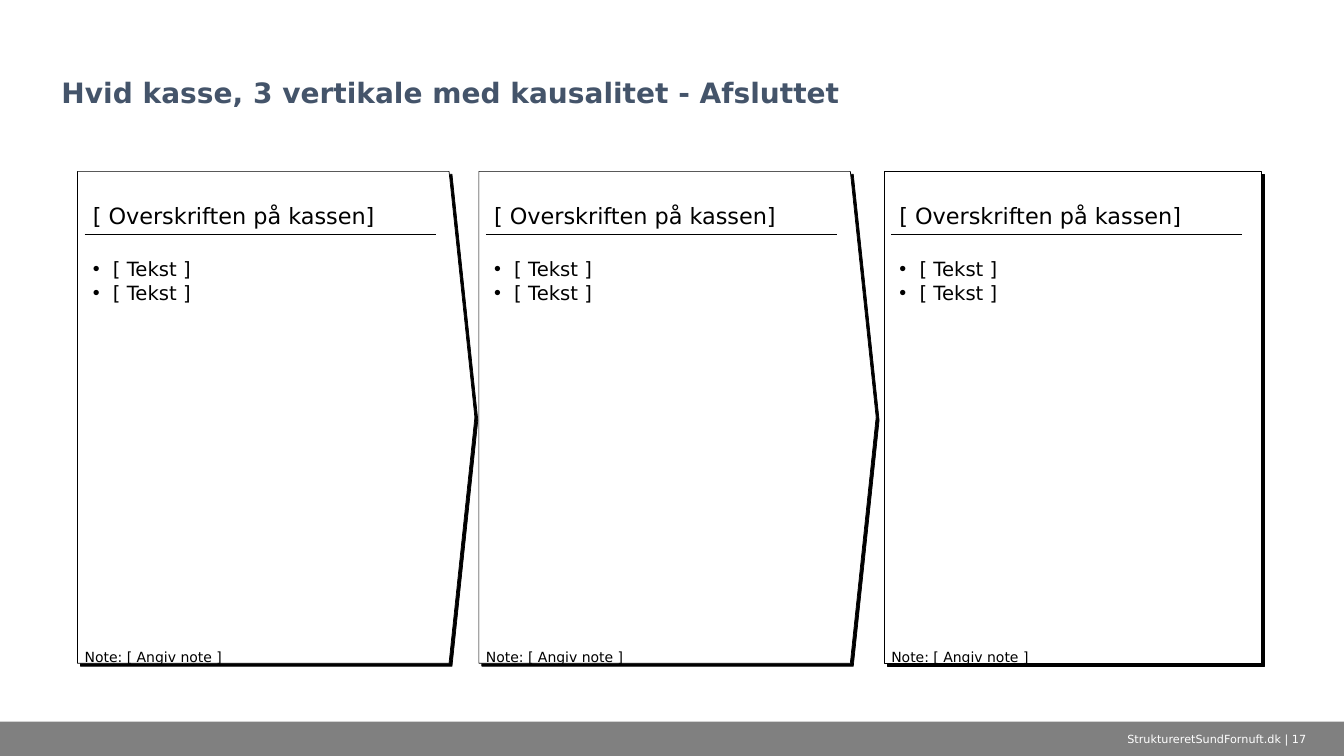
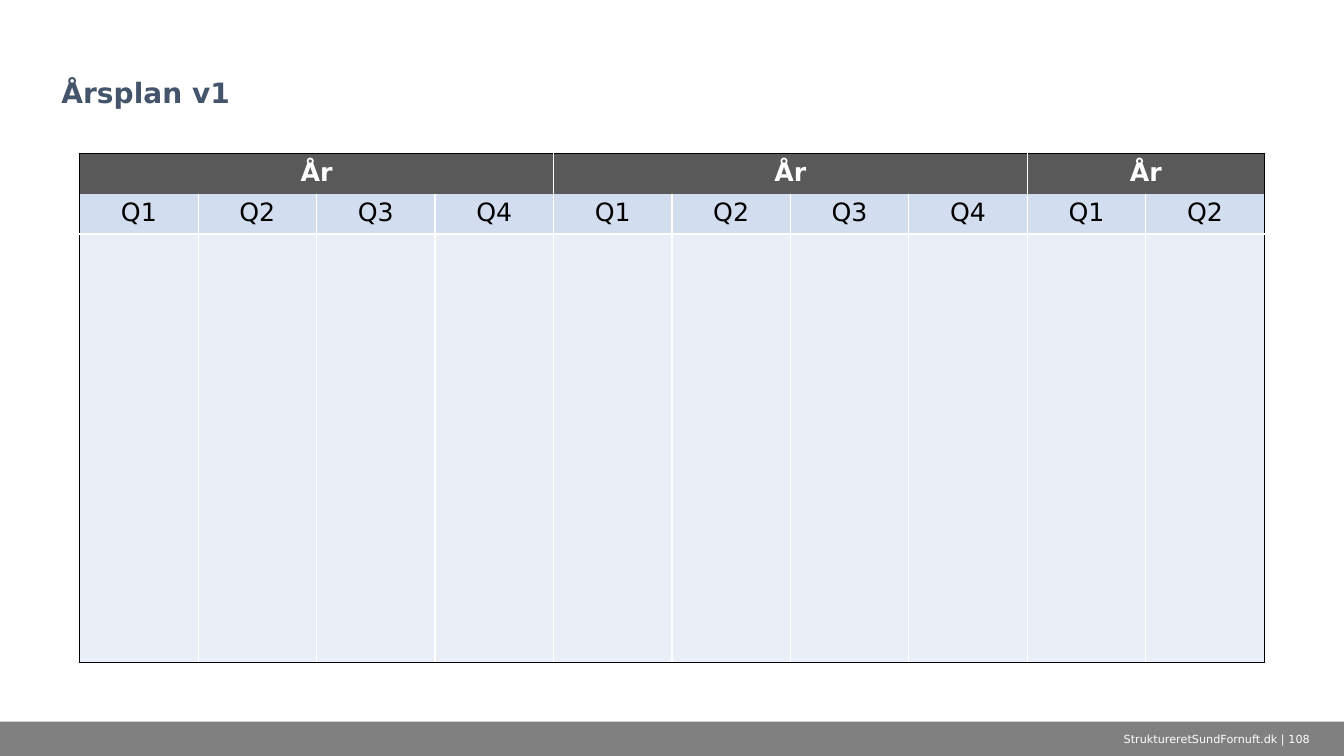
from dataclasses import dataclass

from lxml import etree
from pptx import Presentation, util as u
from pptx.dml.color import RGBColor
from pptx.enum import shapes, text
from pptx.oxml import ns

FONT = "DejaVu Sans"
COLORS = {
    "black": "000000",
    "white": "FFFFFF",
    "title": "44546A",
    "band": "808080",
    "year": "595959",
    "quarter": "D2DEEF",
    "plan": "EAEFF7",
}
SIDES = {"left": "a:lnL", "right": "a:lnR", "top": "a:lnT", "bottom": "a:lnB"}


@dataclass
class Panel:
    left: float
    width: float = 3.94
    point: float = 0.065


@dataclass
class TextStyle:
    size: float
    color: str = "black"
    bold: bool = False
    align: text.PP_ALIGN = text.PP_ALIGN.LEFT


@dataclass
class PlanCell:
    row: int
    first: int
    last: int
    label: str
    fill: str


TITLE = TextStyle(20, "title", True)
FOOTER = TextStyle(8, "white", align=text.PP_ALIGN.CENTER)
HEADING = TextStyle(16)
BULLET = TextStyle(14)
NOTE = TextStyle(10)
YEAR = TextStyle(18, "white", True, text.PP_ALIGN.CENTER)
QUARTER = TextStyle(18, align=text.PP_ALIGN.CENTER)

PANELS = [Panel(0.77), Panel(4.75), Panel(8.77, 3.74, 0)]
PANEL_TOP, PANEL_HEIGHT = 1.7, 4.88
TEXT_INSET, TEXT_WIDTH, RULE_TOP = 0.07, 3.48, 2.33
YEAR_SPANS = [(0, 3), (4, 7), (8, 9)]
ROW_HEIGHTS = [0.39, 0.39, 4.25]
COLUMNS, COLUMN_WIDTH = 10, 1.175


def rgb(name: str) -> RGBColor:
    return RGBColor.from_string(COLORS[name])


def sub(parent, tag: str, **attributes):
    return etree.SubElement(parent, ns.qn(tag), attributes)


def write(para, words: str, style: TextStyle) -> None:
    para.alignment = style.align
    span = para.add_run()
    span.text = words
    span.font.name = FONT
    span.font.size = u.Pt(style.size)
    span.font.bold = style.bold
    span.font.color.rgb = rgb(style.color)


def add_bullet(para) -> None:
    properties = para._p.get_or_add_pPr()
    properties.set("marL", str(u.Inches(0.2)))
    properties.set("indent", str(u.Inches(-0.2)))
    sub(properties, "a:buFont", typeface="Arial")
    sub(properties, "a:buChar", char="•")


def add_text(parent, left: float, top: float, width: float, height: float,
             lines: list[str], style: TextStyle, anchor=text.MSO_ANCHOR.TOP,
             insets: tuple[float, float] = (0.08, 0.06), bullets: bool = False):
    box = parent.add_textbox(u.Inches(left), u.Inches(top), u.Inches(width), u.Inches(height))
    frame = box.text_frame
    frame.word_wrap = True
    frame.vertical_anchor = anchor
    frame.margin_left = frame.margin_right = u.Inches(insets[0])
    frame.margin_top = frame.margin_bottom = u.Inches(insets[1])
    for index, words in enumerate(lines):
        para = frame.add_paragraph() if index else frame.paragraphs[0]
        if bullets:
            add_bullet(para)
        write(para, words, style)
    return box


def add_page(deck, title: str, number: int):
    page = deck.slides.add_slide(deck.slide_layouts.get_by_name("Title Only"))
    band = page.shapes.add_shape(shapes.MSO_SHAPE.RECTANGLE, 0, u.Inches(7.16),
                                 deck.slide_width, u.Inches(0.34))
    band.fill.solid()
    band.fill.fore_color.rgb = rgb("band")
    band.line.fill.background()
    band.shadow.inherit = False

    box = page.shapes.title
    box.left, box.top = u.Inches(0.51), u.Inches(0.17)
    box.width, box.height = u.Inches(12.31), u.Inches(0.97)
    frame = box.text_frame
    frame.auto_size = text.MSO_AUTO_SIZE.NONE
    frame.vertical_anchor = text.MSO_ANCHOR.BOTTOM
    para = frame.paragraphs[0]
    para.line_spacing = 0.9
    write(para, title, TITLE)

    add_text(page.shapes, 10.81, 7.16, 2.52, 0.34,
             [f"StruktureretSundFornuft.dk | {number}"], FOOTER,
             text.MSO_ANCHOR.MIDDLE, (0.1, 0.05))
    return page


def add_panel(page, panel: Panel) -> None:
    group = page.shapes.add_group_shape().shapes
    body = group.add_shape(shapes.MSO_SHAPE.PENTAGON, u.Inches(panel.left), u.Inches(PANEL_TOP),
                           u.Inches(panel.width), u.Inches(PANEL_HEIGHT))
    body.adjustments[0] = panel.point
    body.fill.solid()
    body.fill.fore_color.rgb = rgb("white")
    body.line.color.rgb = rgb("black")
    body.line.width = u.Pt(0.5)
    body.shadow.inherit = False
    effects = body._element.spPr.find(ns.qn("a:effectLst"))
    shadow = sub(effects, "a:outerShdw", blurRad="0", dist=str(u.Pt(3)),
                 dir="2700000", algn="tl", rotWithShape="0")
    sub(shadow, "a:srgbClr", val=COLORS["black"])

    left = panel.left + TEXT_INSET
    rule = group.add_connector(shapes.MSO_CONNECTOR.STRAIGHT, u.Inches(left), u.Inches(RULE_TOP),
                               u.Inches(left + TEXT_WIDTH), u.Inches(RULE_TOP))
    rule.line.color.rgb = rgb("black")
    rule.line.width = u.Pt(0.5)
    sub(rule._element.spPr, "a:effectLst")

    add_text(group, left, PANEL_TOP, TEXT_WIDTH, RULE_TOP - PANEL_TOP,
             ["[ Overskriften på kassen]"], HEADING, text.MSO_ANCHOR.BOTTOM)
    add_text(group, left, 2.49, TEXT_WIDTH, 3.93, ["[ Tekst ]"] * 2, BULLET, bullets=True)
    note = add_text(group, left, 6.43, 3.52, 0.17, ["Note: [ Angiv note ]"], NOTE, insets=(0, 0))
    note.text_frame.auto_size = text.MSO_AUTO_SIZE.SHAPE_TO_FIT_TEXT


def set_borders(cell, borders: dict[str, str | None]) -> None:
    properties = cell._tc.get_or_add_tcPr()
    for side, tag in SIDES.items():
        color = borders.get(side)
        line = sub(properties, tag, w=str(u.Pt(1)))
        if color:
            sub(sub(line, "a:solidFill"), "a:srgbClr", val=COLORS[color])
        else:
            sub(line, "a:noFill")


def plan_cells() -> list[PlanCell]:
    years = [PlanCell(0, first, last, "År", "year") for first, last in YEAR_SPANS]
    quarters = [PlanCell(1, column, column, f"Q{column % 4 + 1}", "quarter")
                for column in range(COLUMNS)]
    empty = [PlanCell(2, column, column, "", "plan") for column in range(COLUMNS)]
    return years + quarters + empty


def add_plan(page) -> None:
    frame = page.shapes.add_table(len(ROW_HEIGHTS), COLUMNS, u.Inches(0.79), u.Inches(1.52),
                                  u.Inches(COLUMNS * COLUMN_WIDTH), u.Inches(sum(ROW_HEIGHTS)))
    table = frame.table
    table.first_row = table.horz_banding = False
    for column in table.columns:
        column.width = u.Inches(COLUMN_WIDTH)
    for row, height in zip(table.rows, ROW_HEIGHTS):
        row.height = u.Inches(height)

    tops = ["black", None, "white"]
    bottoms = [None, "white", "black"]
    for item in plan_cells():
        cell = table.cell(item.row, item.first)
        if item.last > item.first:
            cell.merge(table.cell(item.row, item.last))
        for column in range(item.first, item.last + 1):
            borders = {"top": tops[item.row], "bottom": bottoms[item.row]}
            if column == item.first:
                borders["left"] = "white" if item.first else "black"
                borders["right"] = "black" if item.last == COLUMNS - 1 else "white"
            part = table.cell(item.row, column)
            set_borders(part, borders)
            part.fill.solid()
            part.fill.fore_color.rgb = rgb(item.fill)
        if item.label:
            write(cell.text_frame.paragraphs[0], item.label, QUARTER if item.row else YEAR)


def main() -> None:
    deck = Presentation()
    deck.slide_width, deck.slide_height = u.Inches(13.33), u.Inches(7.5)
    boxes = add_page(deck, "Hvid kasse, 3 vertikale med kausalitet - Afsluttet", 17)
    for panel in PANELS:
        add_panel(boxes, panel)
    add_plan(add_page(deck, "Årsplan v1", 108))
    deck.save("out.pptx")


if __name__ == "__main__":
    main()
